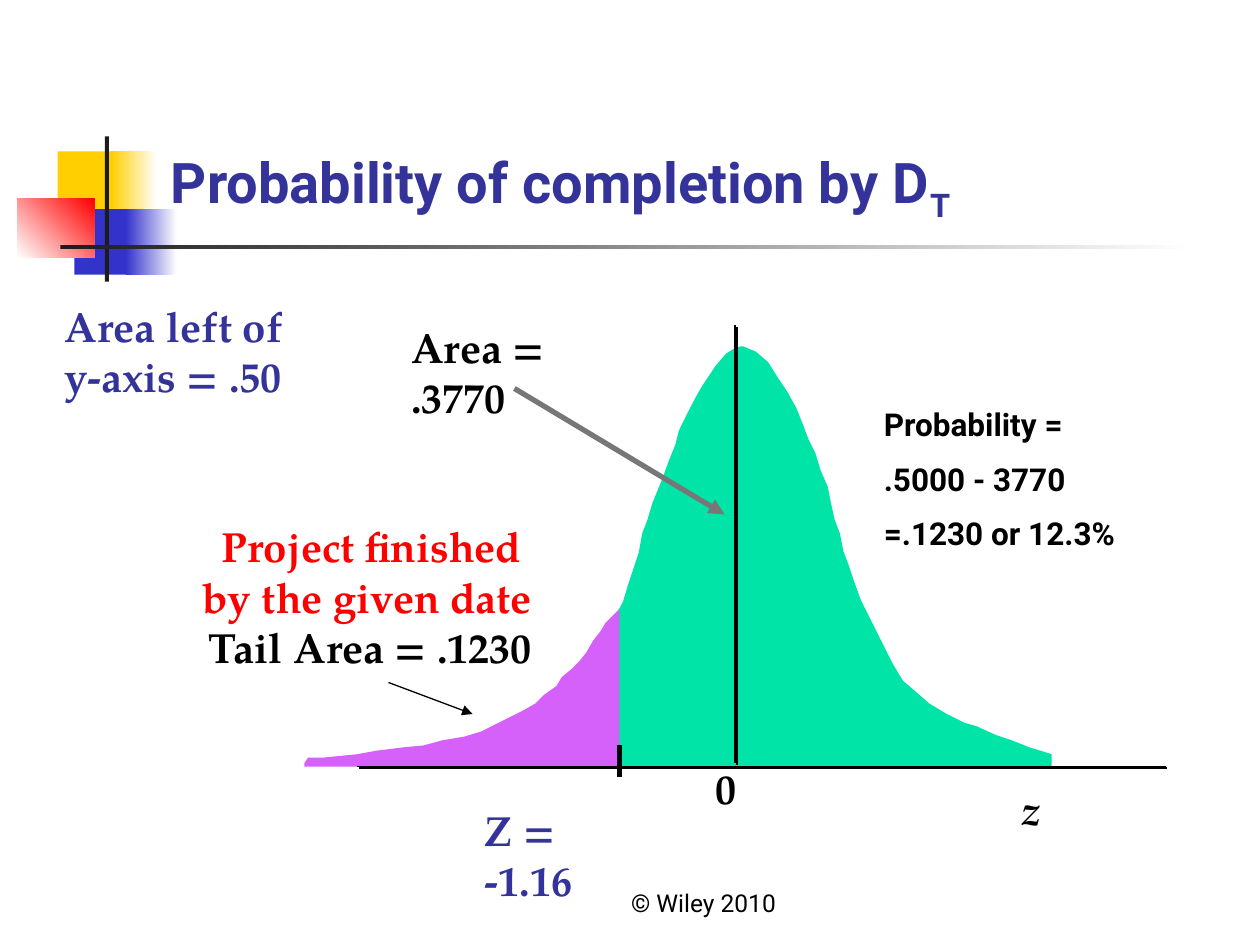
from dataclasses import dataclass
from typing import Any

import lxml.etree
import pptx
import pptx.dml.color
import pptx.enum.shapes
import pptx.enum.text
import pptx.oxml.ns
import pptx.util

Pt = pptx.util.Pt
Align = pptx.enum.text.PP_ALIGN
Anchor = pptx.enum.text.MSO_ANCHOR
SANS, SERIF = "Roboto", "TeX Gyre Pagella"
NAVY, BLACK, WHITE, DARK = "333399", "000000", "FFFFFF", "1C1C1C"
GOLD, BLUE, RED = "FFCF01", "3333CC", "FF0000"


@dataclass
class Block:
    box: tuple[float, ...]
    fill: str
    end: str = ""
    angle: float = 0


@dataclass
class Area:
    fill: str
    points: list[tuple[float, float]]


@dataclass
class Line:
    start: tuple[float, float]
    stop: tuple[float, float]
    color: str
    width: float
    arrow: bool = False
    shadow: bool = False


@dataclass
class Note:
    box: tuple[float, ...]
    lines: list[tuple[str, str]]
    font: str = SERIF
    size: float = 24
    bold: bool = True
    italic: bool = False
    align: Any = Align.LEFT
    anchor: Any = Anchor.TOP
    gap: float = 0


BLOCKS = [
    Block((33, 86.5, 34.5, 37.5), GOLD),
    Block((63.5, 86.5, 26, 37.5), GOLD, WHITE),
    Block((42.5, 119.5, 33, 37.5), BLUE),
    Block((72, 119.5, 29, 37.5), BLUE, WHITE),
    Block((10, 113.5, 44, 33.5), WHITE, RED, 45),
    Block((60, 78, 2.2, 83), DARK),
    Block((34.5, 140, 648, 2.4), DARK, WHITE),
]

AREAS = [
    Area("00E4A8", [
        (425, 198), (432, 201), (439, 207), (444, 215), (450, 224), (455, 233),
        (459, 243), (462, 251), (466, 259), (469, 269), (473, 278), (475, 288),
        (477, 297), (480, 305), (482, 315), (485, 323), (488, 332), (492, 343),
        (496, 351), (500, 359), (505, 369), (510, 379), (516, 389), (523, 395),
        (531, 402), (541, 408), (551, 413), (558, 415), (569, 420), (578, 423),
        (588, 427), (601, 431), (601, 439), (246, 439), (247, 432), (257, 430),
        (268, 427), (279, 423), (288, 420), (298, 416), (308, 410), (318, 404),
        (325, 397), (331, 390), (337, 381), (343, 372), (347, 363), (351, 353),
        (356, 344), (359, 334), (362, 325), (365, 316), (367, 305), (370, 297),
        (373, 287), (378, 275), (382, 264), (386, 254), (388, 246), (393, 236),
        (397, 228), (401, 221), (405, 215), (409, 209), (415, 202), (420, 199),
        (423, 198)]),
    Area("D560FA", [
        (354, 348), (351, 351), (346, 356), (343, 361), (339, 366), (335, 373),
        (331, 378), (327, 382), (321, 387), (318, 392), (311, 397), (306, 402),
        (299, 406), (291, 410), (283, 414), (275, 418), (265, 421), (253, 423),
        (242, 426), (231, 427), (215, 429), (204, 431), (194, 432), (184, 433),
        (176, 433), (174, 436), (174, 438), (354, 438)]),
]

LINES = [
    Line((204, 438), (666, 438), BLACK, 1, shadow=True),
    Line((420, 186), (420, 436), BLACK, 1, shadow=True),
    Line((294, 222), (414, 294), "777777", 3, arrow=True),
    Line((354, 426), (354, 444), BLACK, 3),
    Line((222, 390), (270, 408), BLACK, 0.75, arrow=True),
]

NOTES = [
    Note((288, 492, 228, 36), [("© Wiley 2010", BLACK)], SANS, 14, False,
         align=Align.CENTER, anchor=Anchor.BOTTOM),
    Note((270, 456, 104, 36), [("Z = -1.16", NAVY)]),
    Note((576, 444, 26, 36), [("z", BLACK)], italic=True),
    Note((402, 432, 26, 36), [("0", BLACK)]),
    Note((72, 294, 239, 94), [("Project finished ", RED), ("by the given date", RED),
                              ("Tail Area = .1230", BLACK)], align=Align.RIGHT),
    Note((228, 180, 144, 36), [("Area = .3770", BLACK)]),
    Note((30, 168, 162, 65), [("Area left of y-axis = .50", NAVY)]),
    Note((498, 228, 174, 94), [("Probability =", BLACK), (".5000 - 3770", BLACK),
                               ("=.1230 or 12.3%", BLACK)], SANS, 18, gap=9.5),
]


def tint(code: str) -> pptx.dml.color.RGBColor:
    return pptx.dml.color.RGBColor.from_string(code)


def style(font: Any, color: str, **values: Any) -> None:
    for key, value in values.items():
        setattr(font, key, value)
    font.color.rgb = tint(color)


def node(parent: Any, tag: str, **values: str) -> Any:
    return lxml.etree.SubElement(parent, pptx.oxml.ns.qn(tag), values)


def plain(shape: Any, color: str) -> None:
    """Fill evenly, with no outline and no shadow."""
    shape.shadow.inherit = False
    shape.line.fill.background()
    shape.fill.solid()
    shape.fill.fore_color.rgb = tint(color)


def add_block(shapes: Any, block: Block) -> None:
    kind = pptx.enum.shapes.MSO_SHAPE.RECTANGLE
    shape = shapes.add_shape(kind, *map(Pt, block.box))
    plain(shape, block.fill)
    if block.end:
        shape.fill.gradient()
        shape.fill.gradient_angle = block.angle
        for stop, color in zip(shape.fill.gradient_stops, (block.fill, block.end)):
            stop.color.rgb = tint(color)


def add_area(shapes: Any, area: Area) -> None:
    first, *rest = area.points
    form = shapes.build_freeform(*first, scale=Pt(1))
    form.add_line_segments(rest, close=True)
    plain(form.convert_to_shape(), area.fill)


def add_line(shapes: Any, line: Line) -> None:
    kind = pptx.enum.shapes.MSO_CONNECTOR.STRAIGHT
    shape = shapes.add_connector(kind, *map(Pt, line.start + line.stop))
    shape.line.width = Pt(line.width)
    shape.line.color.rgb = tint(line.color)
    if line.arrow:
        node(shape.line._get_or_add_ln(), "a:tailEnd", type="triangle")
    effect = node(shape._element.spPr, "a:effectLst")
    if line.shadow:
        cast = node(effect, "a:outerShdw", dist=str(Pt(1.4)), dir="2700000")
        node(cast, "a:srgbClr", val=BLACK)


def add_note(shapes: Any, note: Note) -> None:
    frame = shapes.add_textbox(*map(Pt, note.box)).text_frame
    frame.word_wrap = True
    frame.vertical_anchor = note.anchor
    for i, (text, color) in enumerate(note.lines):
        para = frame.add_paragraph() if i else frame.paragraphs[0]
        para.alignment = note.align
        para.space_before = Pt(note.gap if i else 0)
        run = para.add_run()
        run.text = text
        style(run.font, color, name=note.font, size=Pt(note.size),
              bold=note.bold, italic=note.italic)


def set_title(title: Any) -> None:
    place = dict(left=90.5, top=16.5, width=613.5, height=115)
    for key, value in place.items():
        setattr(title, key, Pt(value))
    frame = title.text_frame
    frame.vertical_anchor = Anchor.BOTTOM
    para = frame.paragraphs[0]
    para.alignment = Align.LEFT
    for text in ("Probability of completion by D", "T"):
        run = para.add_run()
        run.text = text
        style(run.font, NAVY, name=SANS, size=Pt(32), bold=True)
    run._r.get_or_add_rPr().set("baseline", "-25000")


def main() -> None:
    deck = pptx.Presentation()
    deck.slide_width, deck.slide_height = Pt(720), Pt(540)
    slide = deck.slides.add_slide(deck.slide_layouts[5])
    set_title(slide.shapes.title)
    for draw, items in ((add_block, BLOCKS), (add_area, AREAS),
                        (add_line, LINES), (add_note, NOTES)):
        for item in items:
            draw(slide.shapes, item)
    deck.save("out.pptx")


if __name__ == "__main__":
    main()
